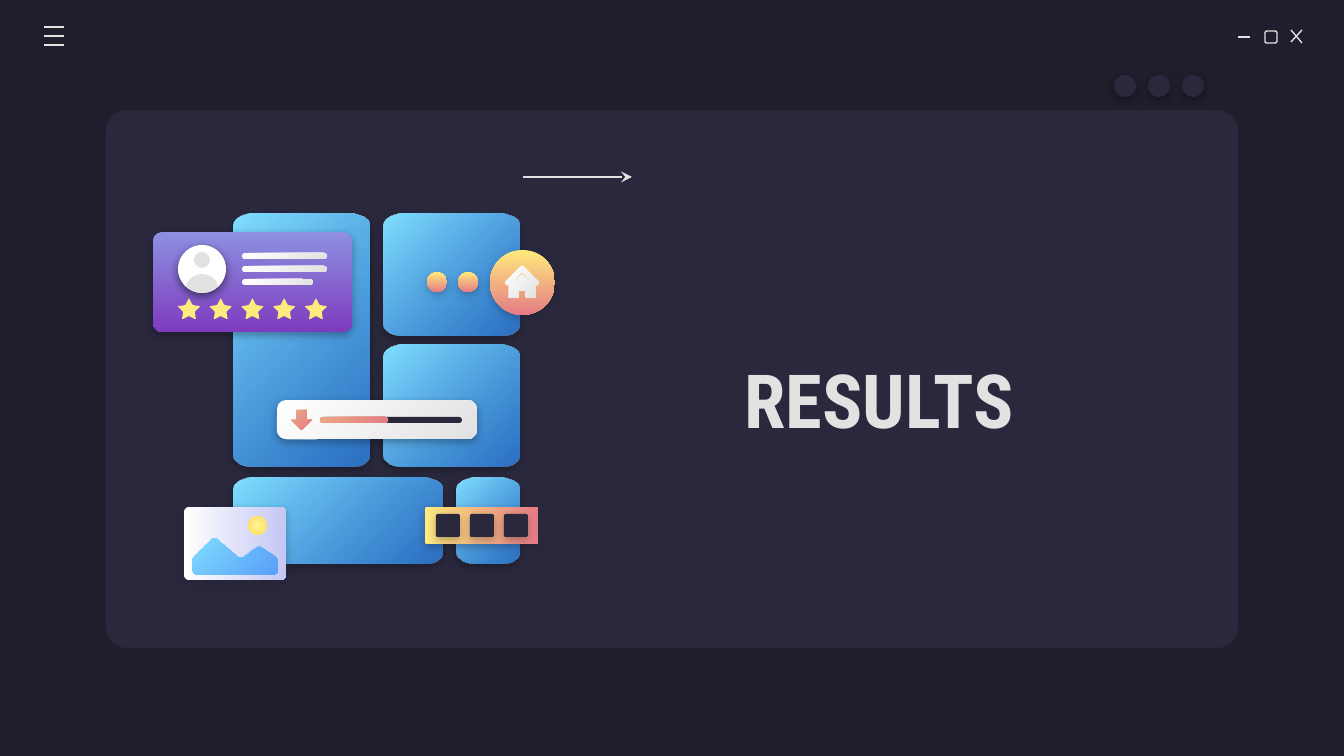
from math import cos, sin, pi, radians
from lxml import etree
from pptx import Presentation
from pptx.dml.color import RGBColor
from pptx.enum.shapes import MSO_CONNECTOR, MSO_SHAPE
from pptx.enum.text import MSO_ANCHOR, PP_ALIGN
from pptx.oxml.ns import qn
from pptx.util import Pt

PX = 914400 / 134.4
ROUND, OVAL, DOWN = MSO_SHAPE.ROUNDED_RECTANGLE, MSO_SHAPE.OVAL, MSO_SHAPE.DOWN_ARROW
NAVY, PANEL, LIGHT, YELLOW = "1E1E2C", "29283D", "E2E2E2", "FFEA7D"
BLUE = ("80DFFF", "318FFA", 45, 72)
SILVER = ("FFFFFF", LIGHT, 45, 100)
CORAL = ("E9A984", "E57C85", 45, 100)
SUNSET = (YELLOW, "E57C85", 90, 100)
SUNSET_ACROSS = (YELLOW, "E57C85", 0, 100)
PURPLE = ("8D90E1", "7E3BBE", 90, 100)
LILAC = ("FFFFFF", "C5C7F4", 0, 100)
SUN = ("FFF68E", "FFD966", None, 100)
BLACK_30, BLACK_32, BLACK_50 = ("000000", 30), ("000000", 32), ("000000", 50)
NAVY_30 = (NAVY, 30)

TITLE = "RESULTS"
TILES = [
    (384, 214, 135, 122), (234, 214, 136, 253), (384, 345, 135, 122),
    (456, 478, 63, 86), (234, 478, 208, 86),
]
CARD_BARS = [(242, 253, 85), (242, 266, 85), (242, 279, 71)]
SHAPES = [
    (ROUND, (153, 232, 199, 100), 9, PURPLE, BLACK_30),
    (OVAL, (178, 245, 48, 48), 0, "FFFFFF", BLACK_50),
    (OVAL, (194, 252, 16, 16), 0, LIGHT, None),
    *[(ROUND, (x, y, w, 6), 3, SILVER, None) for x, y, w in CARD_BARS],
    (ROUND, (277, 400, 200, 39), 9, SILVER, BLACK_30),
    (ROUND, (320, 417, 142, 6), 3, PANEL, None),
    (ROUND, (320, 417, 68, 6), 3, CORAL, None),
    (DOWN, (291, 410, 21, 20), 0, CORAL, None),
    (ROUND, (184, 507, 102, 73), 5, LILAC, NAVY_30),
    (OVAL, (248, 516, 19, 19), 0, SUN, None),
    (ROUND, (425, 507, 113, 37), 2, SUNSET_ACROSS, NAVY_30),
    *[(ROUND, (436 + 34 * i, 514, 24, 23), 2, PANEL, NAVY_30) for i in range(3)],
    (OVAL, (490, 250, 65, 65), 0, SUNSET, NAVY_30),
    *[(OVAL, (x, 272, 20, 20), 0, SUNSET, NAVY_30) for x in (458, 427)],
    *[(OVAL, (1114 + 34 * i, 75, 22, 22), 0, PANEL, BLACK_30) for i in range(3)],
]
BUST = [(202, 274), (195, 274, 188, 279, 186, 286), (191, 291, 196, 293, 202, 293),
        (208, 293, 214, 291, 218, 286), (216, 279, 210, 274, 202, 274)]
HILLS = [(215, 539), (213, 539, 212, 539, 211, 540), (195, 556),
         (194, 557, 193, 558, 193, 559), (193, 570), (193, 573, 195, 575, 198, 575),
         (272, 575), (275, 575, 277, 573, 277, 570), (277, 561),
         (277, 559, 276, 558, 275, 557), (262, 548), (260, 546, 257, 546, 254, 548),
         (244, 556), (242, 558, 238, 557, 237, 556), (219, 541),
         (218, 539, 216, 539, 215, 539)]
ROOF = [(522, 266), (521, 266, 521, 266, 520, 267), (506, 281),
        (504, 283, 506, 286, 509, 285), (522, 272), (535, 285),
        (538, 286, 540, 283, 538, 281), (524, 267), (523, 266, 523, 266, 522, 266)]
WALLS = [(522, 274), (509, 286), (509, 298), (519, 298), (519, 291),
         (525, 291), (525, 298), (535, 298), (535, 286)]
STAR_X, STAR_Y, STAR_END, STAR_COUNT = 189, 310, 316, 5
LINES = [
    (1238, 37, 1250, 37), (1291, 30, 1302, 43), (1302, 30, 1291, 42),
    *[(44, y, 64, y) for y in (27, 36, 45)],
]
ARROW = (523, 177, 632, 177)


def emu(*values):
    return [round(v * PX) for v in values]


def rgb(color):
    return RGBColor.from_string(color)


def sub(parent, tag, **attrs):
    return etree.SubElement(parent, qn(tag), attrs)


def paint(sp, fill, shadow=None):
    if isinstance(fill, str):
        sp.fill.solid()
        sp.fill.fore_color.rgb = rgb(fill)
    else:
        start, end, angle, alpha = fill
        sp.fill.gradient()
        for stop, color in zip(sp.fill.gradient_stops, (start, end)):
            stop.color.rgb = rgb(color)
        grad = sp._element.spPr.find(qn("a:gradFill"))
        if alpha < 100:
            last = grad.findall(".//" + qn("a:srgbClr"))[-1]
            sub(last, "a:alpha", val=str(alpha * 1000))
        if angle is None:
            grad.remove(grad.find(qn("a:lin")))
            centre = sub(grad, "a:path", path="circle")
            sub(centre, "a:fillToRect", l="50000", t="50000", r="50000", b="50000")
        else:
            sp.fill.gradient_angle = -angle % 360
    sp.line.fill.background()
    sp.shadow.inherit = False
    if shadow:
        color, alpha = shadow
        effects = sp._element.spPr.find(qn("a:effectLst"))
        outer = sub(effects, "a:outerShdw", blurRad=str(Pt(4.5)), dist=str(Pt(1.5)),
                    dir="5400000", algn="bl", rotWithShape="0")
        sub(sub(outer, "a:srgbClr", val=color), "a:alpha", val=str(alpha * 1000))


def preset(kind, box, radius=0):
    sp = s.shapes.add_shape(kind, *emu(*box))
    if kind == ROUND:
        sp.adjustments[0] = radius / min(box[2:])
    return sp


def flatten(path, steps=8):
    points = [path[0]]
    for seg in path[1:]:
        if len(seg) == 2:
            points.append(seg)
            continue
        nodes = [points[-1], seg[:2], seg[2:4], seg[4:]]
        for t in (i / steps for i in range(1, steps + 1)):
            weights = ((1 - t) ** 3, 3 * t * (1 - t) ** 2, 3 * t * t * (1 - t), t ** 3)
            points.append(tuple(sum(w * n[k] for w, n in zip(weights, nodes)) for k in (0, 1)))
    return points


def freeform(contours, fill, shadow=None):
    first, *others = [[emu(*pt) for pt in c] for c in contours]
    fb = s.shapes.build_freeform(*first[0], scale=1.0)
    fb.add_line_segments(first[1:], close=True)
    for c in others:
        fb.move_to(*c[0])
        fb.add_line_segments(c[1:], close=True)
    paint(fb.convert_to_shape(), fill, shadow)


def tile_outline(x, y, w, h, rx=19, ry=12):
    corners = [(x + w - rx, y + h - ry), (x + rx, y + h - ry), (x + rx, y + ry), (x + w - rx, y + ry)]
    return [(cx + rx * cos(radians(90 * q + a)), cy + ry * sin(radians(90 * q + a)))
            for q, (cx, cy) in enumerate(corners) for a in range(0, 91, 10)]


def star_outline(cx, cy, outer=12, inner=6, cut=0.3):
    tips = [(cx + r * sin(i * pi / 5), cy - r * cos(i * pi / 5))
            for i in range(10) for r in [inner if i % 2 else outer]]
    path = []
    for i, tip in enumerate(tips):
        a, b = [tuple(p + cut * (q - p) for p, q in zip(tip, n))
                for n in (tips[i - 1], tips[(i + 1) % 10])]
        path += [a, (*tip, *tip, *b)]
    return flatten(path, 4)


def line(points):
    cx = s.shapes.add_connector(MSO_CONNECTOR.STRAIGHT, *emu(*points))
    cx.line.color.rgb = rgb(LIGHT)
    cx.line.width = Pt(0.75)
    sub(cx._element.spPr, "a:effectLst")
    return cx


prs = Presentation()
prs.slide_width, prs.slide_height = emu(1344, 756)
s = prs.slides.add_slide(prs.slide_layouts[6])
s.background.fill.solid()
s.background.fill.fore_color.rgb = rgb(NAVY)

paint(preset(ROUND, (106, 110, 1132, 538), 21), PANEL)
maximize = preset(ROUND, (1265, 31, 12, 12), 2)
maximize.fill.background()
maximize.line.color.rgb = rgb(LIGHT)
maximize.line.width = Pt(0.75)
maximize.shadow.inherit = False
for points in LINES:
    line(points)

for tile in TILES:
    freeform([tile_outline(*tile)], BLUE, BLACK_32)
for kind, box, radius, fill, shadow in SHAPES:
    paint(preset(kind, box, radius), fill, shadow)
freeform([flatten(BUST)], LIGHT)
star_step = (STAR_END - STAR_X) / (STAR_COUNT - 1)
for i in range(STAR_COUNT):
    freeform([star_outline(STAR_X + i * star_step, STAR_Y)], YELLOW)
freeform([flatten(HILLS)], BLUE)
freeform([flatten(ROOF), WALLS], SILVER)

arrow = line(ARROW)
sub(arrow.line._get_or_add_ln(), "a:tailEnd", type="stealth", w="med", len="med")

tb = s.shapes.add_textbox(*emu(613, 340, 532, 117))
tf = tb.text_frame
tf.word_wrap = True
tf.vertical_anchor = MSO_ANCHOR.MIDDLE
tf.margin_left = tf.margin_right = tf.margin_top = tf.margin_bottom = Pt(7.2)
p = tf.paragraphs[0]
p.text = TITLE
p.alignment = PP_ALIGN.CENTER
p.font.name, p.font.size, p.font.bold = "Roboto Condensed", Pt(40), True
p.font.color.rgb = rgb(LIGHT)

prs.save("out.pptx")
